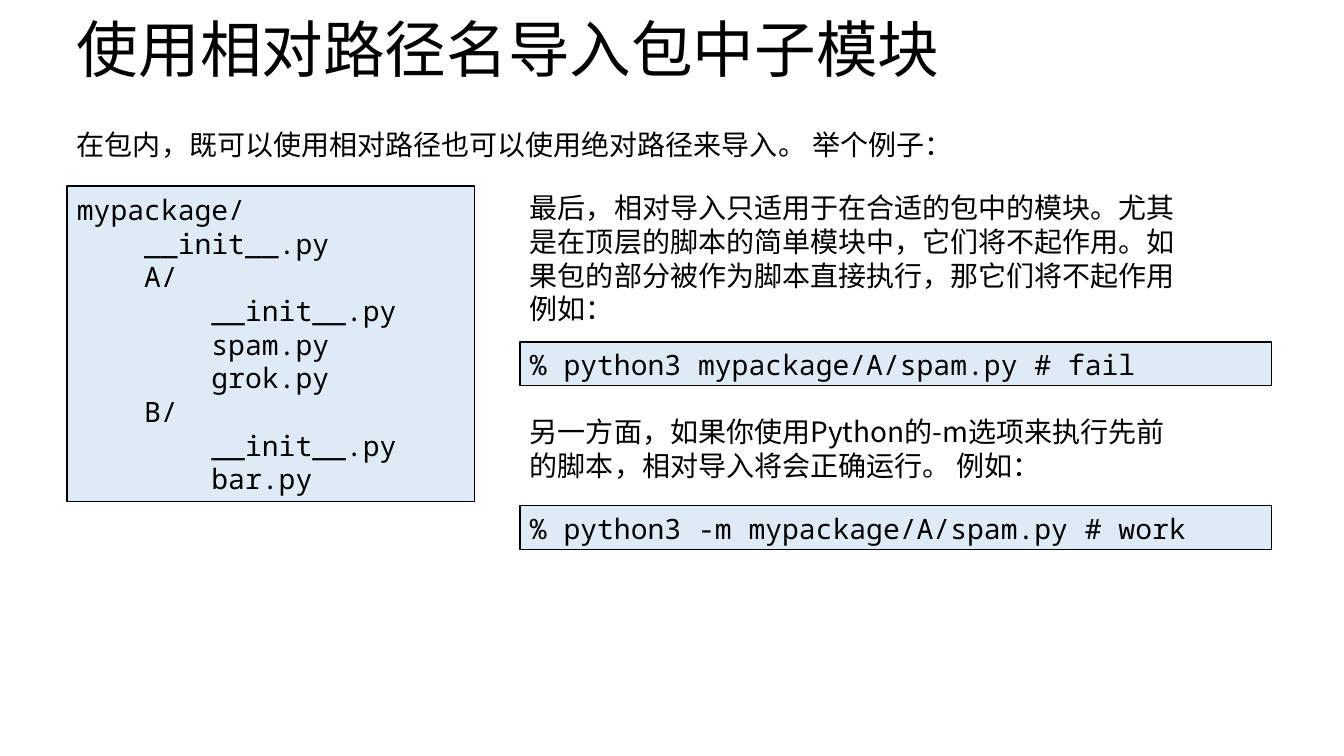
import pptx
import pptx.util
import pptx.dml.color
import pptx.enum.shapes
import pptx.enum.text
import pptx.oxml.ns
import lxml.etree

PX = 12192000 / 1344  # EMU per px

theme = {
    "ink": "000000", "panel": "DEEBF7",
    "sans": "Noto Sans CJK SC", "mono": "Noto Sans Mono",
    "title": 44, "body": 20, "line": 0.75,
}


def color(name):
    return pptx.dml.color.RGBColor.from_string(theme[name])


def write(text, left, top, width, height, size="body", face="sans",
          code=False, anchor="TOP", space=None):
    box = [round(n * PX) for n in (left, top, width, height)]
    if code:
        shape = slide.shapes.add_shape(pptx.enum.shapes.MSO_SHAPE.RECTANGLE, *box)
        shape.shadow.inherit = False
        shape.fill.solid()
        shape.fill.fore_color.rgb = color("panel")
        shape.line.color.rgb = color("ink")
        shape.line.width = pptx.util.Pt(theme["line"])
        face = "mono"
    else:
        shape = slide.shapes.add_textbox(*box)
    frame = shape.text_frame
    frame.word_wrap = True
    frame.vertical_anchor = pptx.enum.text.MSO_ANCHOR[anchor]
    frame.text = text
    for para in frame.paragraphs:
        para.alignment = pptx.enum.text.PP_ALIGN.LEFT
        para.line_spacing = space
        for run in para.runs:
            run.font.size = pptx.util.Pt(theme[size])
            run.font.color.rgb = color("ink")
            run.font.name = theme[face]
            # East Asian face
            east = lxml.etree.SubElement(run.font._element, pptx.oxml.ns.qn("a:ea"))
            east.set("typeface", theme[face])


deck = pptx.Presentation()
deck.slide_width = round(1344 * PX)
deck.slide_height = round(756 * PX)
slide = deck.slides.add_slide(deck.slide_layouts[6])

left, right = 67, 520  # column edges
wide, text_wide = 752, 672  # right column widths

# Title and lead
write("使用相对路径名导入包中子模块", left, 0, 1159, 106,
      size="title", anchor="MIDDLE", space=0.9)
write("在包内，既可以使用相对路径也可以使用绝对路径来导入。 举个例子：",
      left, 123, 1206, 44)

# Package tree
tree = """mypackage/
    __init__.py
    A/
        __init__.py
        spam.py
        grok.py
    B/
        __init__.py
        bar.py"""
write(tree, left, 186, 408, 316, code=True, anchor="MIDDLE")

# Notes, each followed by its command
steps = [
    (186, 146, "最后，相对导入只适用于在合适的包中的模块。尤其是在顶层的脚本的简单模块中，"
     "它们将不起作用。如果包的部分被作为脚本直接执行，那它们将不起作用 例如：",
     342, "% python3 mypackage/A/spam.py # fail"),
    (410, 78, "另一方面，如果你使用Python的-m选项来执行先前的脚本，相对导入将会正确运行。 例如：",
     506, "% python3 -m mypackage/A/spam.py # work"),
]
for top, height, note, code_top, command in steps:
    write(note, right, top, text_wide, height)
    write(command, right, code_top, wide, 44, code=True, anchor="MIDDLE")

deck.save("out.pptx")
